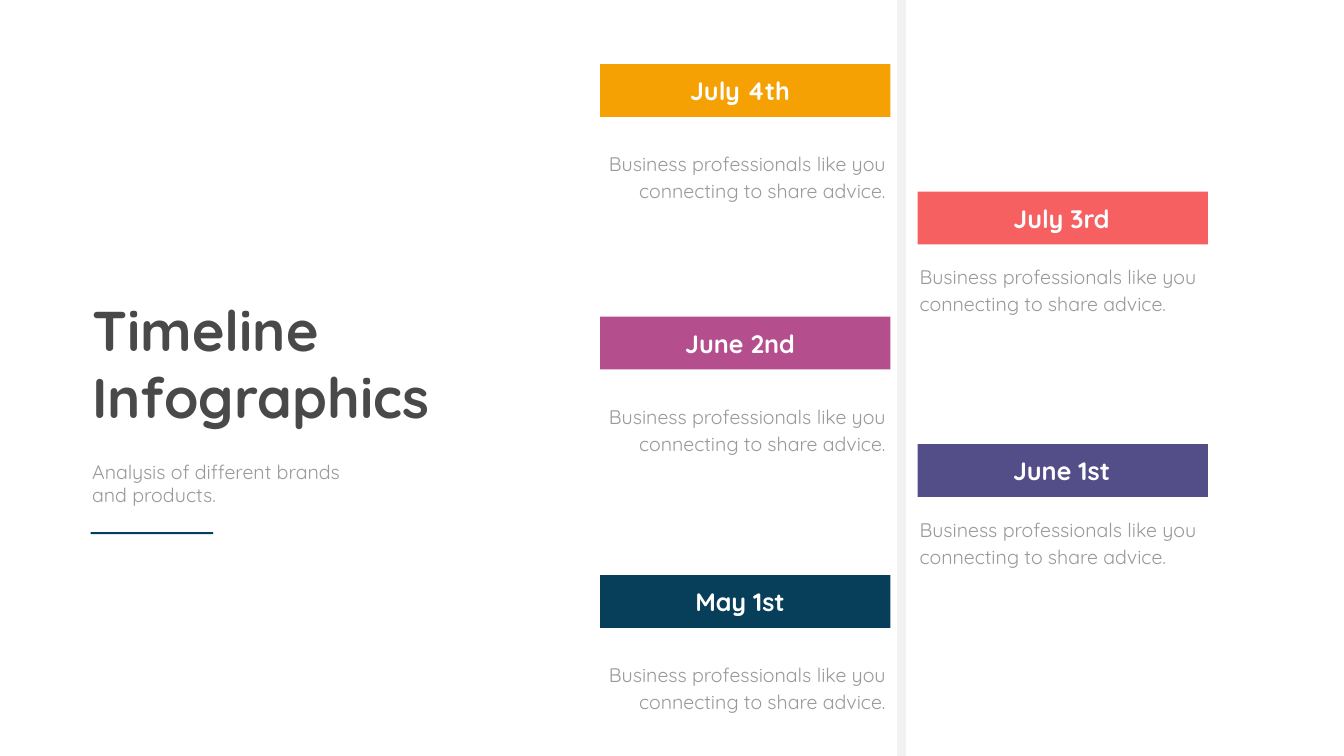
from lxml import etree
from pptx import Presentation
from pptx.dml.color import RGBColor
from pptx.enum.shapes import MSO_CONNECTOR, MSO_SHAPE
from pptx.enum.text import MSO_AUTO_SIZE, PP_ALIGN
from pptx.oxml.ns import qn
from pptx.util import Inches, Pt

FONT = "Quicksand"
WHITE = RGBColor(0xFF, 0xFF, 0xFF)
LIGHT = RGBColor(0xF2, 0xF2, 0xF2)
GRAY = RGBColor(0x99, 0x99, 0x99)
DARK = RGBColor(0x49, 0x49, 0x49)
ORANGE = RGBColor(0xF6, 0xA1, 0x03)
CORAL = RGBColor(0xF7, 0x60, 0x61)
PURPLE = RGBColor(0xB5, 0x4E, 0x8D)
INDIGO = RGBColor(0x53, 0x4D, 0x88)
NAVY = RGBColor(0x07, 0x3E, 0x59)

SLIDE_W, SLIDE_H = 26.67, 15
BAR_W, BAR_H = 5.76, 1.05
LEFT_X, RIGHT_X, AXIS_X = 11.91, 18.21, 17.89
ADVICE = "Business professionals like you connecting to share advice."

# date, colour, on the left of the axis, top of the bar
EVENTS = [
    ("July 4th", ORANGE, True, 1.27),
    ("July 3rd", CORAL, False, 3.8),
    ("June 2nd", PURPLE, True, 6.28),
    ("June 1st", INDIGO, False, 8.81),
    ("May 1st", NAVY, True, 11.41),
]


def add_bar(slide, x, y, w, h, color):
    bar = slide.shapes.add_shape(
        MSO_SHAPE.RECTANGLE, Inches(x), Inches(y), Inches(w), Inches(h))
    bar.shadow.inherit = False
    bar.fill.solid()
    bar.fill.fore_color.rgb = color
    bar.line.fill.background()


def add_text(slide, x, y, w, h, lines, size, color, bold=False,
             align=PP_ALIGN.LEFT, spacing=None):
    box = slide.shapes.add_textbox(Inches(x), Inches(y), Inches(w), Inches(h))
    tf = box.text_frame
    tf.word_wrap = True
    tf.auto_size = MSO_AUTO_SIZE.SHAPE_TO_FIT_TEXT
    for i, line in enumerate(lines):
        p = tf.add_paragraph() if i else tf.paragraphs[0]
        p.alignment = align
        if spacing:
            p.line_spacing = Pt(spacing)
        r = p.add_run()
        r.text = line
        r.font.name = FONT
        r.font.size = Pt(size)
        r.font.bold = bold
        r.font.color.rgb = color


def add_axis(slide, x, height):
    axis = slide.shapes.add_connector(
        MSO_CONNECTOR.STRAIGHT, Inches(x), 0, Inches(x), Inches(height))
    axis.line.color.rgb = LIGHT
    axis.line.width = Pt(12)
    etree.SubElement(axis.line._get_or_add_ln().getparent(), qn("a:effectLst"))


def add_event(slide, date, color, on_left, y):
    """Place a dated bar and its note on one side of the axis."""
    if on_left:
        x, label_dx, label_w = LEFT_X, 0.79, 3.97
        note_dx, note_dy, note_w, align = 0, 1.63, 5.76, PP_ALIGN.RIGHT
    else:
        x, label_dx, label_w = RIGHT_X, -0.12, 5.95
        note_dx, note_dy, note_w, align = -0.06, 1.34, 5.82, PP_ALIGN.LEFT
    add_bar(slide, x, y, BAR_W, BAR_H, color)
    add_text(slide, x + label_dx, y + 0.18, label_w, 0.71, [date], 36, WHITE,
             bold=True, align=PP_ALIGN.CENTER)
    add_text(slide, x + note_dx, y + note_dy, note_w, 1.15, [ADVICE], 28, GRAY,
             align=align, spacing=38.6)


def add_heading(slide, x, y):
    add_text(slide, x, y, 7.1, 2.79, ["Timeline", "Infographics"], 80, DARK,
             bold=True)
    add_text(slide, x, y + 3.25, 5.34, 1.04,
             ["Analysis of different brands and products."], 28, GRAY)
    add_bar(slide, x + 0.07, y + 4.74, 2.43, 0.04, NAVY)


def main():
    prs = Presentation()
    prs.slide_width, prs.slide_height = Inches(SLIDE_W), Inches(SLIDE_H)
    slide = prs.slides.add_slide(prs.slide_layouts[6])
    add_axis(slide, AXIS_X, SLIDE_H)
    for event in EVENTS:
        add_event(slide, *event)
    add_heading(slide, 1.73, 5.82)
    prs.save("out.pptx")


if __name__ == "__main__":
    main()
